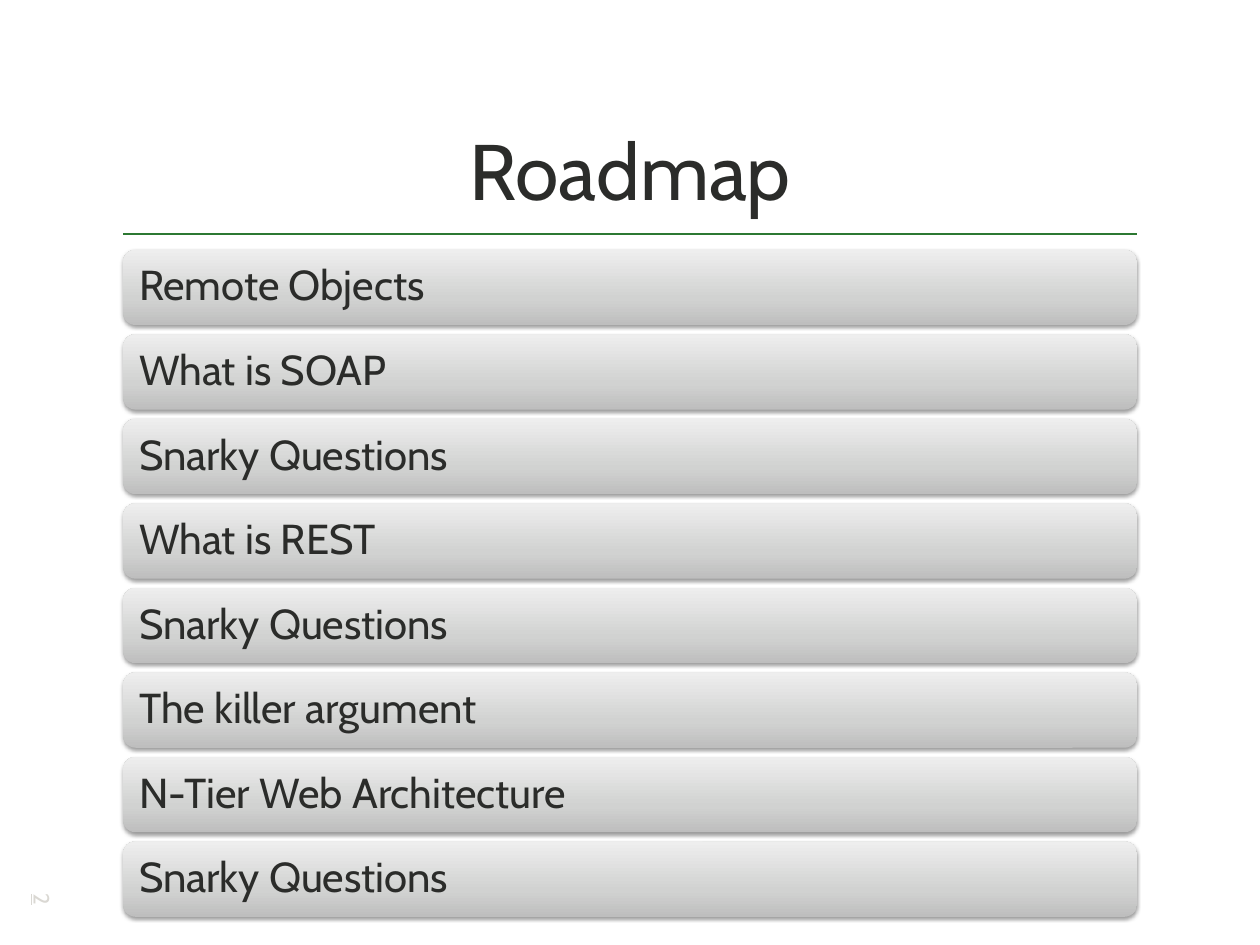
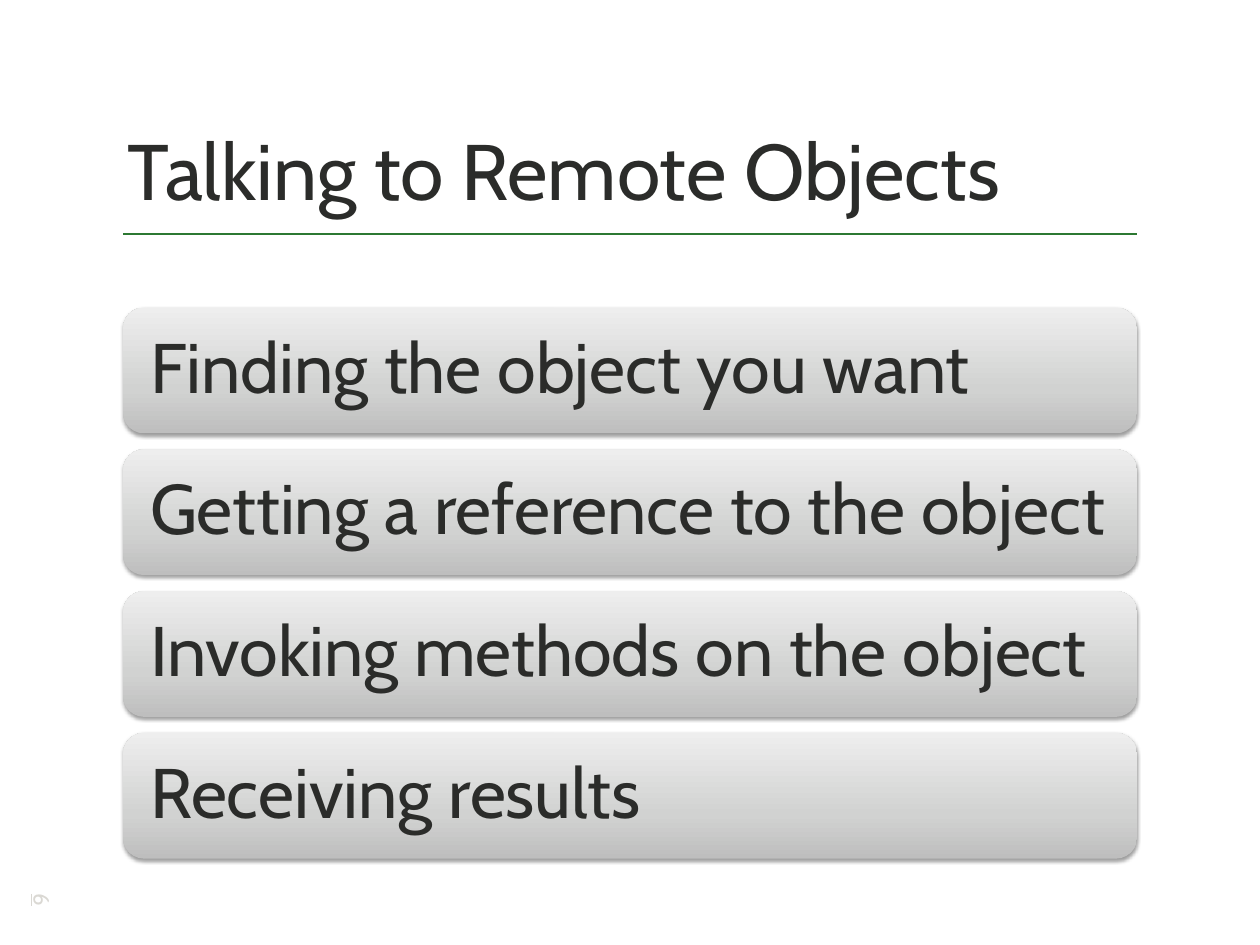
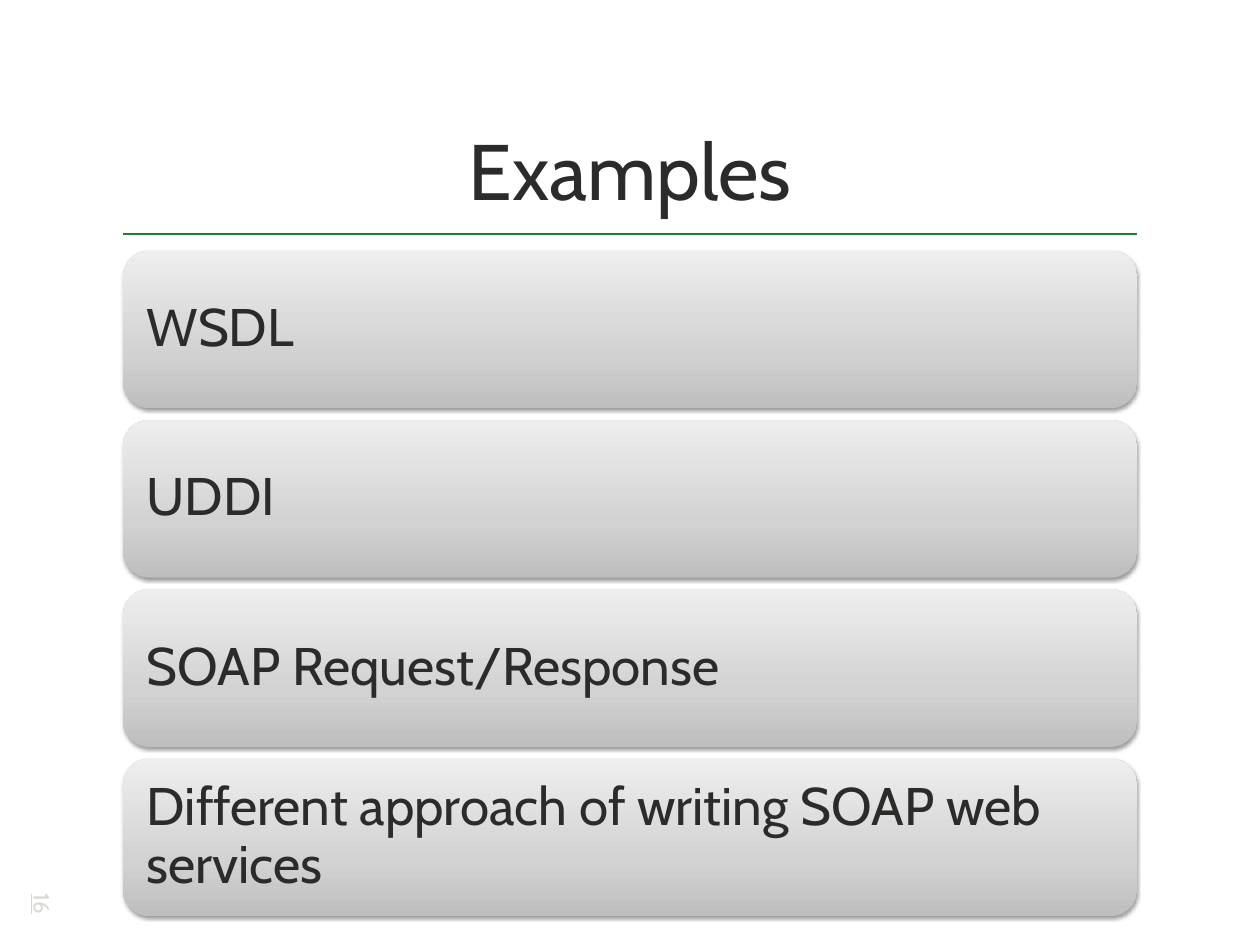
from copy import deepcopy

from lxml import etree
from pptx import Presentation
from pptx.dml.color import RGBColor
from pptx.enum.shapes import MSO_CONNECTOR, MSO_SHAPE
from pptx.enum.text import MSO_ANCHOR, PP_ALIGN
from pptx.oxml.ns import qn
from pptx.util import Pt

STRAIGHT = MSO_CONNECTOR.STRAIGHT
ROUNDED = MSO_SHAPE.ROUNDED_RECTANGLE
MIDDLE, BOTTOM = MSO_ANCHOR.MIDDLE, MSO_ANCHOR.BOTTOM
LEFT, CENTER = PP_ALIGN.LEFT, PP_ALIGN.CENTER

FONT = "Cabin"
INK, RULE_GREEN, NUMBER_GREY = "2B2C2A", "2C7832", "DAD8D3"
BAR_STOPS = [(0, "BEBEBE"), (0.35, "D1D2D1"), (1, "EEEEEE")]
SLIDE_SIZE = (1024, 768)
CONTENT_LEFT, CONTENT_WIDTH = 100, 824
TITLE_BOX = (CONTENT_LEFT, 20, CONTENT_WIDTH, 160)
RULE_TOP = 190
NUMBER_BOX = (14.75, 725.25, 40, 28)

SLIDES = [
    dict(title="Roadmap", align=CENTER, number="2",
         top=203, height=61.2, gap=7.5, size=34, margin=10,
         topics=["Remote Objects", "What is SOAP", "Snarky Questions",
                 "What is REST", "Snarky Questions", "The killer argument",
                 "N-Tier Web Architecture", "Snarky Questions"]),
    dict(title="Talking to Remote Objects", align=LEFT, number="6",
         top=250, height=102.2, gap=13, size=57, margin=17,
         topics=["Finding the object you want",
                 "Getting a reference to the object",
                 "Invoking methods on the object", "Receiving results"]),
    dict(title="Examples", align=CENTER, number="16",
         top=203.8, height=128, gap=9.6, size=43, margin=13,
         topics=["WSDL", "UDDI", "SOAP Request/Response",
                 "Different approach of writing SOAP web services"]),
]


def color(hex_value):
    return RGBColor.from_string(hex_value)


def points(*values):
    return [Pt(value) for value in values]


def write(shape, text, size, hex_value, margin=None, anchor=None, align=LEFT):
    """Fill a shape with one formatted paragraph and return that paragraph."""
    frame = shape.text_frame
    frame.word_wrap = True
    frame.text = text
    if margin is not None:
        frame.margin_left = frame.margin_right = Pt(margin)
        frame.margin_top = frame.margin_bottom = Pt(margin)
    if anchor is not None:
        frame.vertical_anchor = anchor
    paragraph = frame.paragraphs[0]
    paragraph.alignment = align
    font = paragraph.runs[0].font
    font.name, font.size = FONT, Pt(size)
    font.color.rgb = color(hex_value)
    return paragraph


def add_title(slide, text, align):
    box = slide.shapes.add_textbox(*points(*TITLE_BOX))
    write(box, text, 64, INK, 4, BOTTOM, align)


def add_rule(slide):
    rule = slide.shapes.add_connector(STRAIGHT, *points(
        CONTENT_LEFT, RULE_TOP, CONTENT_LEFT + CONTENT_WIDTH, RULE_TOP))
    rule.line.color.rgb = color(RULE_GREEN)
    rule.line.width = Pt(2)
    etree.SubElement(rule._element.spPr, qn("a:effectLst"))


def add_page_number(slide, number):
    box = slide.shapes.add_textbox(*points(*NUMBER_BOX))
    box.rotation = 90
    paragraph = write(box, number, 18, NUMBER_GREY)
    paragraph.runs[0].font.underline = True


def apply_gradient(shape):
    fill = shape.fill
    fill.gradient()
    fill.gradient_angle = 90
    stop_list = shape._element.spPr.find(qn("a:gradFill")).find(qn("a:gsLst"))
    stop_list.append(deepcopy(stop_list[0]))
    for stop, (position, hex_value) in zip(fill.gradient_stops, BAR_STOPS):
        stop.position = position
        stop.color.rgb = color(hex_value)


def apply_shadow(shape):
    shape.shadow.inherit = False
    effects = shape._element.spPr.find(qn("a:effectLst"))
    shadow = etree.SubElement(
        effects, qn("a:outerShdw"), blurRad=str(Pt(3.1)), dist=str(Pt(1.6)),
        dir="5400000", rotWithShape="0")
    black = etree.SubElement(shadow, qn("a:srgbClr"), val="000000")
    etree.SubElement(black, qn("a:alpha"), val="38000")


def add_bar(slide, box, text, size, margin):
    bar = slide.shapes.add_shape(ROUNDED, *points(*box))
    bar.line.fill.background()
    apply_gradient(bar)
    apply_shadow(bar)
    write(bar, text, size, INK, margin, MIDDLE).line_spacing = 0.9


def add_topic_list(slide, topics, top, height, gap, size, margin):
    for index, topic in enumerate(topics):
        box = (CONTENT_LEFT, top + index * (height + gap), CONTENT_WIDTH, height)
        add_bar(slide, box, topic, size, margin)


def add_topic_slide(presentation, title, align, number, **topic_list):
    slide = presentation.slides.add_slide(presentation.slide_layouts[6])
    add_rule(slide)
    add_title(slide, title, align)
    add_topic_list(slide, **topic_list)
    add_page_number(slide, number)


def main():
    presentation = Presentation()
    presentation.slide_width, presentation.slide_height = points(*SLIDE_SIZE)
    for content in SLIDES:
        add_topic_slide(presentation, **content)
    presentation.save("out.pptx")


if __name__ == "__main__":
    main()
